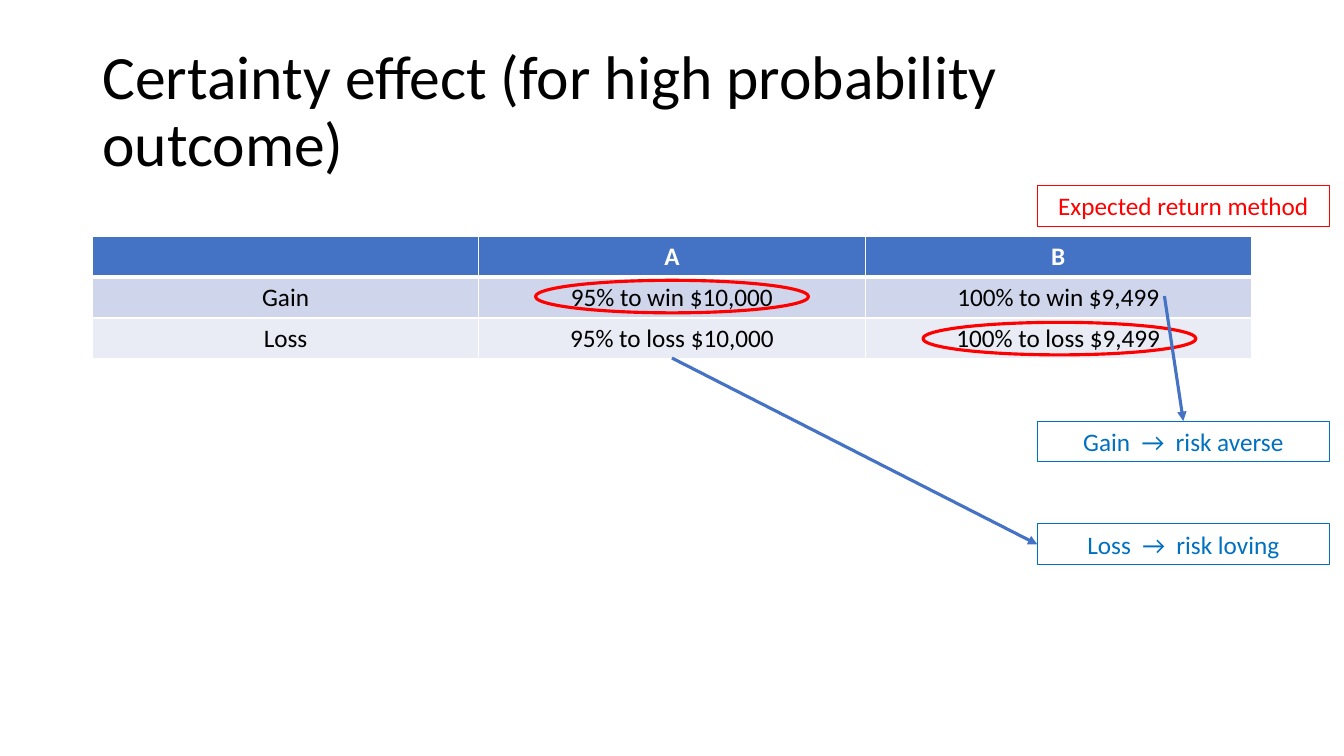
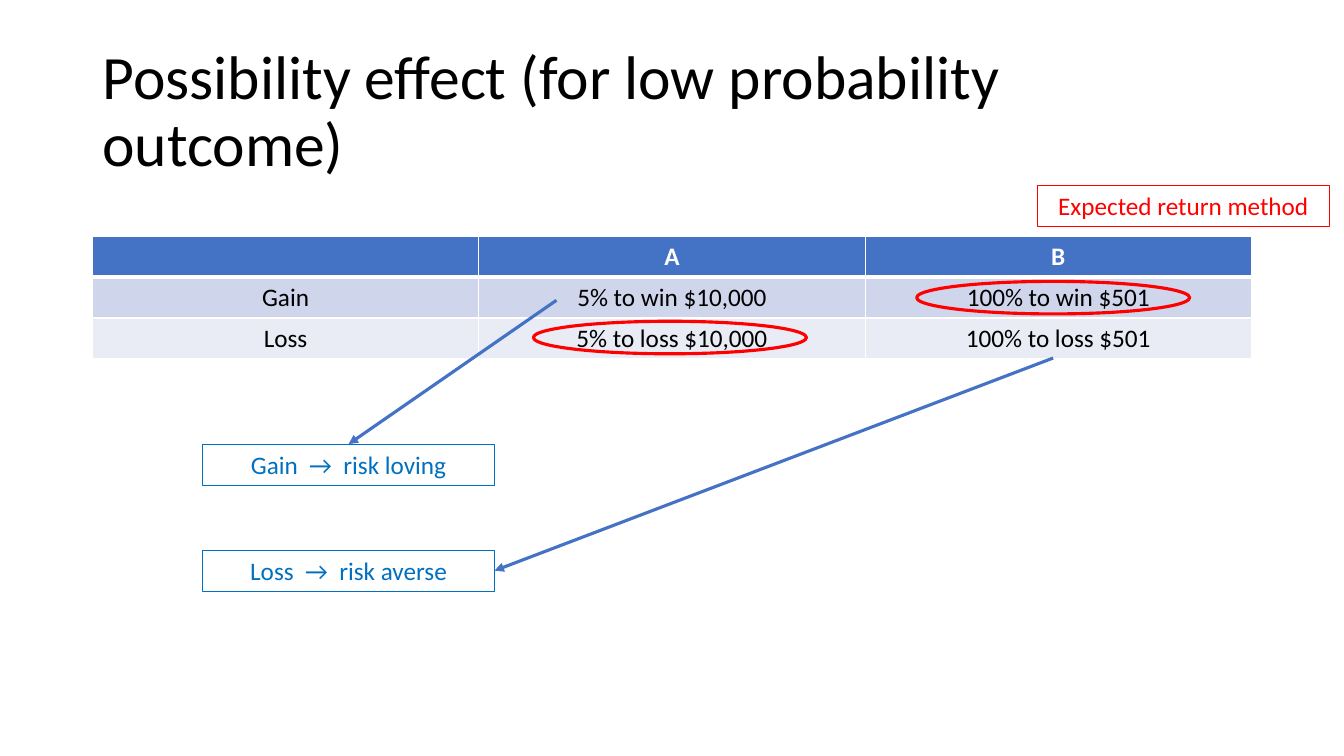
from lxml.etree import SubElement
from pptx import Presentation
from pptx.dml.color import RGBColor
from pptx.enum.shapes import MSO_CONNECTOR as Connector, MSO_SHAPE as Preset
from pptx.enum.text import MSO_ANCHOR as Anchor, MSO_AUTO_SIZE as AutoSize, PP_ALIGN as Align
from pptx.oxml.ns import qn
from pptx.util import Emu, Pt

COLORS = {
    "title": "000000", "body": "000000", "white": "FFFFFF",
    "header": "4472C4", "gain": "CFD5EA", "loss": "E9EBF5",
    "method": "FF0000", "outcome": "0070C0", "arrow": "4472C4",
}
FONT = "Calibri"
TABLE_LEFT, TABLE_TOP, COLUMN_WIDTH, ROW_HEIGHT = 88, 225, 368, 39
BOX_WIDTH, BOX_HEIGHT = 278, 39
TOP, LEFT, RIGHT = 0, 1, 3

SLIDES = [
    {
        "title": "Certainty effect (for high probability outcome)",
        "gain": ["Gain", "95% to win $10,000", "100% to win $9,499"],
        "loss": ["Loss", "95% to loss $10,000", "100% to loss $9,499"],
        "rings": [(510, 267), (879, 307)],
        "outcomes": [
            ("Gain  →  risk averse", (988, 401), (1109, 282), TOP),
            ("Loss  →  risk loving", (988, 499), (640, 341), LEFT),
        ],
    },
    {
        "title": "Possibility effect (for low probability outcome)",
        "gain": ["Gain", "5% to win $10,000", "100% to win $501"],
        "loss": ["Loss", "5% to loss $10,000", "100% to loss $501"],
        "rings": [(508, 306), (873, 268)],
        "outcomes": [
            ("Gain  →  risk loving", (193, 423), (530, 286), TOP),
            ("Loss  →  risk averse", (193, 524), (1003, 341), RIGHT),
        ],
    },
]


def px(length):
    """Turn pixels into EMU."""
    return Emu(length * 9525)


def color(name):
    """Look up a colour by its role."""
    return RGBColor.from_string(COLORS[name])


def write(frame, text, ink="body", size=18, bold=False, align=Align.CENTER, spacing=1.0):
    """Put one formatted paragraph into a text frame."""
    para = frame.paragraphs[0]
    para.alignment = align
    para.line_spacing = spacing
    span = para.add_run()
    span.text = text
    font = span.font
    font.name, font.size, font.bold = FONT, Pt(size), bold
    font.color.rgb = color(ink)


def add_title(page, text):
    """Place and fill the title placeholder."""
    title = page.shapes.title
    title.left, title.top, title.width, title.height = map(px, (88, 38, 1104, 139))
    frame = title.text_frame
    frame.word_wrap = True
    frame.auto_size = AutoSize.NONE
    frame.vertical_anchor = Anchor.MIDDLE
    write(frame, text, ink="title", size=44, align=Align.LEFT, spacing=0.9)


def add_borders(cell, top, bottom):
    """Draw white cell borders with the given top and bottom widths."""
    properties = cell._tc.get_or_add_tcPr()
    for side, width in (("lnL", 1), ("lnR", 1), ("lnT", top), ("lnB", bottom)):
        line = SubElement(properties, qn(f"a:{side}"), w=str(Pt(width)))
        fill = SubElement(line, qn("a:solidFill"))
        SubElement(fill, qn("a:srgbClr"), val=COLORS["white"])


def add_choices(page, gain, loss):
    """Add the table of choices A and B."""
    rows = [("header", ["", "A", "B"], 1, 3), ("gain", gain, 3, 1), ("loss", loss, 1, 1)]
    table = page.shapes.add_table(
        len(rows), 3, px(TABLE_LEFT), px(TABLE_TOP),
        px(3 * COLUMN_WIDTH), px(len(rows) * ROW_HEIGHT)).table
    for column in table.columns:
        column.width = px(COLUMN_WIDTH)
    for row, (role, texts, top, bottom) in zip(table.rows, rows):
        row.height = px(ROW_HEIGHT)
        header = role == "header"
        for cell, text in zip(row.cells, texts):
            add_borders(cell, top, bottom)
            cell.fill.solid()
            cell.fill.fore_color.rgb = color(role)
            if text:
                write(cell.text_frame, text, ink="white" if header else "body", bold=header)


def add_outline(page, preset, place, size, ink, weight):
    """Add an unfilled preset shape."""
    shape = page.shapes.add_shape(preset, *map(px, place + size))
    shape.shadow.inherit = False
    shape.fill.background()
    shape.line.color.rgb = color(ink)
    shape.line.width = Pt(weight)
    return shape


def add_box(page, text, place, ink):
    """Add a framed label."""
    box = add_outline(page, Preset.RECTANGLE, place, (BOX_WIDTH, BOX_HEIGHT), ink, 0.75)
    box.text_frame.word_wrap = True
    box.text_frame.vertical_anchor = Anchor.TOP
    write(box.text_frame, text, ink=ink)
    return box


def add_arrow(page, start, box, side):
    """Draw an arrow from a point to one side of a box."""
    begin = [px(value) for value in start]
    arrow = page.shapes.add_connector(Connector.STRAIGHT, *begin, *begin)
    arrow.end_connect(box, side)
    arrow.line.color.rgb = color("arrow")
    arrow.line.width = Pt(2.25)
    SubElement(arrow.line._get_or_add_ln(), qn("a:tailEnd"), type="triangle")
    SubElement(arrow._element.spPr, qn("a:effectLst"))


def add_page(deck, content):
    """Build one slide from its content."""
    page = deck.slides.add_slide(deck.slide_layouts[5])
    add_title(page, content["title"])
    add_choices(page, content["gain"], content["loss"])
    for place in content["rings"]:
        add_outline(page, Preset.OVAL, place, (260, 31), "method", 2.25)
    add_box(page, "Expected return method", (988, 177), "method")
    for text, place, start, side in content["outcomes"]:
        box = add_box(page, text, place, "outcome")
        add_arrow(page, start, box, side)


def main():
    """Build and save the deck."""
    deck = Presentation()
    deck.slide_width, deck.slide_height = px(1280), px(720)
    for content in SLIDES:
        add_page(deck, content)
    deck.save("out.pptx")


if __name__ == "__main__":
    main()
